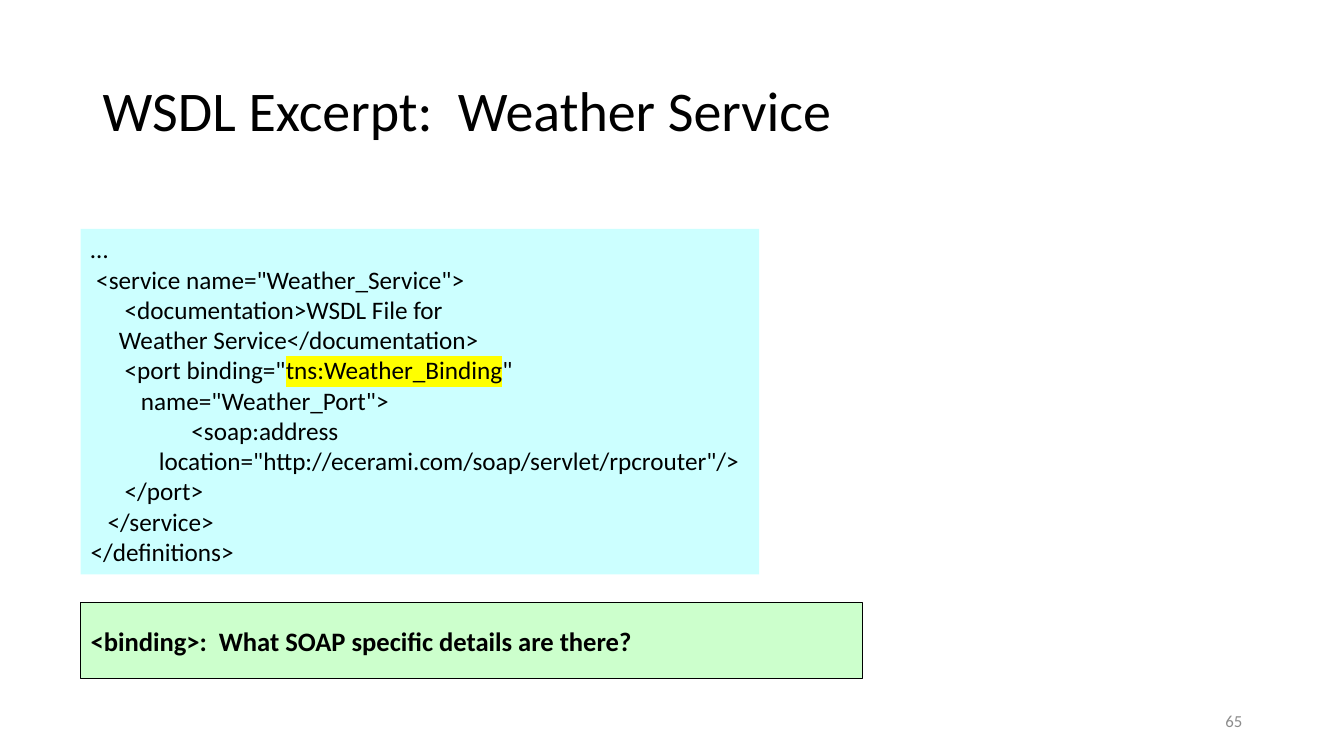
import pptx
import pptx.dml.color
import pptx.enum.shapes
import pptx.enum.text
import pptx.util
from lxml import etree
from pptx.oxml.ns import qn

Inches, Pt = pptx.util.Inches, pptx.util.Pt
ALIGN, ANCHOR = pptx.enum.text.PP_ALIGN, pptx.enum.text.MSO_ANCHOR

FONT = "Calibri"
BLACK, GREY, CYAN, GREEN, YELLOW = "000000", "8C8C8C", "CCFFFF", "CCFFCC", "FFFF00"
TITLE = "WSDL Excerpt:  Weather Service"
BOUND_NAME = "tns:Weather_Binding"
CODE = [
    "…",
    ' <service name="Weather_Service">',
    "      <documentation>WSDL File for",
    "     Weather Service</documentation>",
    f'      <port binding="{BOUND_NAME}"',
    '\tname="Weather_Port">',
    "         \t<soap:address",
    '            location="http://ecerami.com/soap/servlet/rpcrouter"/>',
    "      </port>",
    "   </service>",
    "</definitions>",
]
QUESTION = "<binding>:  What SOAP specific details are there?"
PAGE = "65"


def rgb(value):
    return pptx.dml.color.RGBColor.from_string(value)


def add_run(p, text, size, color, bold, highlight=None):
    r = p.add_run()
    r.text = text
    r.font.name, r.font.size, r.font.bold = FONT, Pt(size), bold
    r.font.color.rgb = rgb(color)
    if highlight:
        mark = etree.Element(qn("a:highlight"))
        etree.SubElement(mark, qn("a:srgbClr"), val=highlight)
        r.font._element.find(qn("a:solidFill")).addnext(mark)


def add_text(sp, lines, size, color=BLACK, bold=False, align=ALIGN.LEFT,
             anchor=ANCHOR.MIDDLE, spacing=None):
    tf = sp.text_frame
    tf.word_wrap = True
    tf.vertical_anchor = anchor
    for i, line in enumerate(lines):
        p = tf.add_paragraph() if i else tf.paragraphs[0]
        p.alignment = align
        if spacing:
            p.line_spacing = spacing
        before, found, after = line.partition(BOUND_NAME)
        for text, highlight in ((before, None), (found, YELLOW), (after, None)):
            if text:
                add_run(p, text, size, color, bold, highlight)


def add_box(s, box, fill, line=None):
    sp = s.shapes.add_shape(pptx.enum.shapes.MSO_SHAPE.RECTANGLE, *map(Inches, box))
    sp.shadow.inherit = False
    sp.fill.solid()
    sp.fill.fore_color.rgb = rgb(fill)
    if line:
        sp.line.color.rgb = rgb(line)
        sp.line.width = Pt(0.75)
    else:
        sp.line.fill.background()
    return sp


def add_label(s, box):
    return s.shapes.add_textbox(*map(Inches, box))


def main():
    prs = pptx.Presentation()
    prs.slide_width, prs.slide_height = Inches(13.33), Inches(7.5)
    s = prs.slides.add_slide(prs.slide_layouts[6])
    add_text(add_label(s, (9.42, 6.95, 3, 0.4)), [PAGE], 12, GREY, align=ALIGN.RIGHT)
    add_text(add_label(s, (0.92, 0.4, 11.5, 1.45)), [TITLE], 40, spacing=0.9)
    add_text(add_box(s, (0.8, 2.27, 6.73, 3.43), CYAN), CODE, 18, anchor=ANCHOR.TOP)
    add_text(add_box(s, (0.8, 5.98, 7.75, 0.75), GREEN, BLACK), [QUESTION], 19, bold=True)
    prs.save("out.pptx")


if __name__ == "__main__":
    main()
